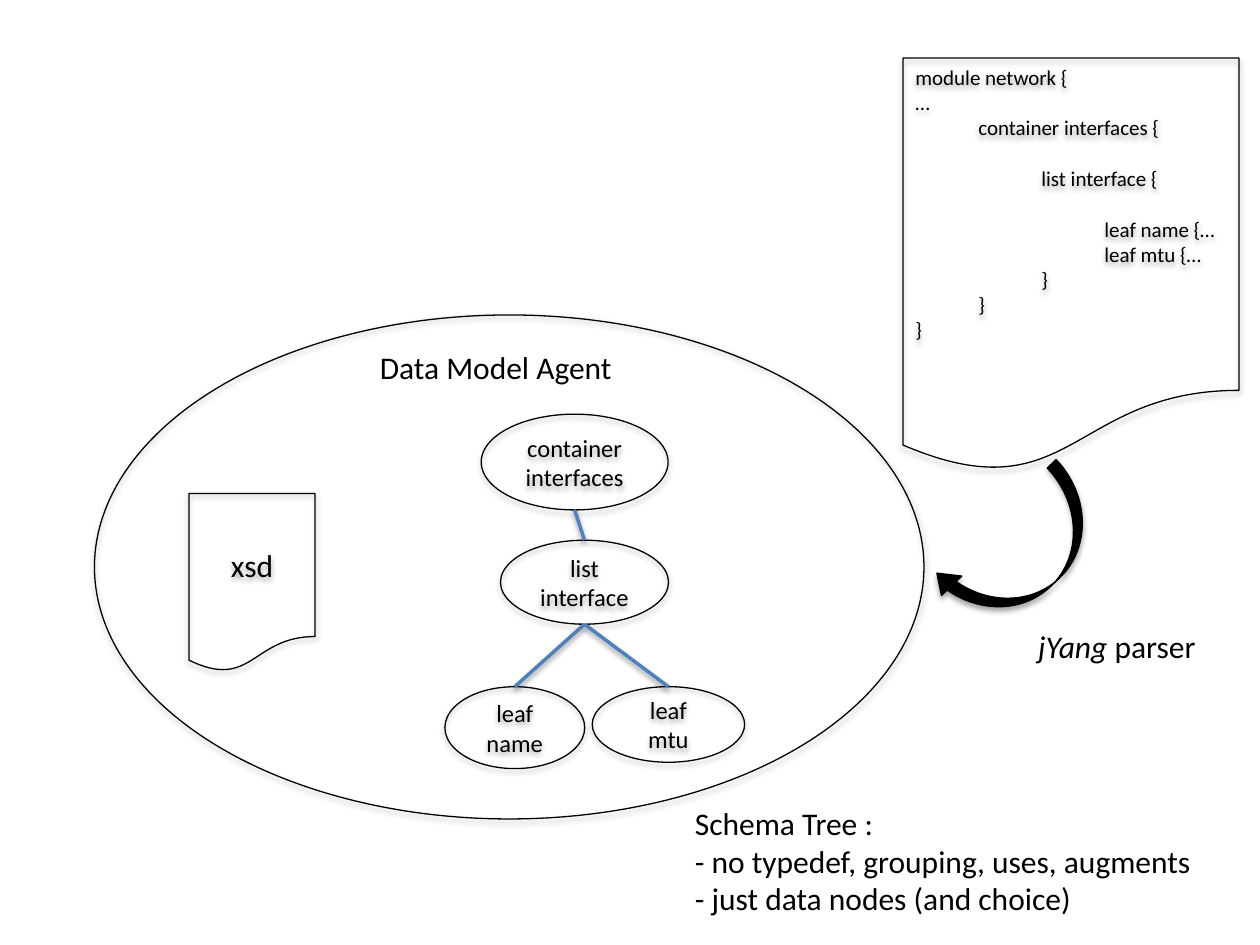
from lxml.etree import SubElement
from pptx import Presentation
from pptx.dml.color import RGBColor
from pptx.enum.shapes import MSO_CONNECTOR, MSO_SHAPE
from pptx.enum.text import MSO_ANCHOR, MSO_AUTO_SIZE, PP_ALIGN
from pptx.oxml.ns import qn
from pptx.util import Pt

FONT = "Calibri"
BLACK = "000000"
BLUE = "4F81BD"
CODE_SIZE = 12
CODE_LINE = 14.6
INDENT = 36
CODE = [
    (0, "module network {", False),
    (0, "…", False),
    (1, "container interfaces {", False),
    (2, "list interface {", True),
    (3, "leaf name {…", True),
    (3, "leaf mtu {…", False),
    (2, "}", False),
    (1, "}", False),
    (0, "}", False),
]
NODES = {
    "container": ("container interfaces", (221, 56.7, 106.8, 54.7)),
    "list": ("list\ninterface", (232, 128.7, 96, 48)),
    "name": ("leaf\nname", (200.2, 212.4, 79.9, 46.8)),
    "mtu": ("leaf\nmtu", (284.4, 212.4, 87.1, 43.2)),
}
EDGES = [("container", "list"), ("list", "name"), ("list", "mtu")]


def color(value):
    return RGBColor.from_string(value)


def add_shadow(shape, opacity):
    effects = SubElement(shape._element.spPr, qn("a:effectLst"))
    shadow = SubElement(effects, qn("a:outerShdw"), blurRad=str(Pt(3.15)),
                        dist=str(Pt(1.8)), dir="5400000", rotWithShape="0")
    shade = SubElement(shadow, qn("a:srgbClr"), val=BLACK)
    SubElement(shade, qn("a:alpha"), val=str(opacity * 1000))


def style_paragraph(paragraph, size, alignment=PP_ALIGN.LEFT):
    paragraph.alignment = alignment
    paragraph.font.name = FONT
    paragraph.font.size = Pt(size)
    paragraph.font.color.rgb = color(BLACK)


def add_outline(slide, kind, box, text="", size=18):
    shape = slide.shapes.add_shape(kind, *map(Pt, box))
    shape.fill.background()
    shape.line.color.rgb = color(BLACK)
    shape.line.width = Pt(0.75)
    add_shadow(shape, 35)
    if text:
        frame = shape.text_frame
        frame.text = text
        frame.vertical_anchor = MSO_ANCHOR.MIDDLE
        for paragraph in frame.paragraphs:
            style_paragraph(paragraph, size, PP_ALIGN.CENTER)
    return shape


def add_label(slide, box, text):
    label = slide.shapes.add_textbox(*map(Pt, box))
    frame = label.text_frame
    frame.word_wrap = False
    frame.auto_size = MSO_AUTO_SIZE.SHAPE_TO_FIT_TEXT
    frame.text = text
    for paragraph in frame.paragraphs:
        style_paragraph(paragraph, 18)
    return label


def add_edge(slide, parent, child):
    line = slide.shapes.add_connector(
        MSO_CONNECTOR.STRAIGHT,
        parent.left + parent.width // 2, parent.top + parent.height,
        child.left + child.width // 2, child.top)
    line.line.color.rgb = color(BLUE)
    line.line.width = Pt(2)
    add_shadow(line, 38)


def add_tree(slide, left, top):
    nodes = {}
    for key, (text, (x, y, width, height)) in NODES.items():
        nodes[key] = add_outline(slide, MSO_SHAPE.OVAL,
                                 (left + x, top + y, width, height), text, 14)
    for parent, child in EDGES:
        add_edge(slide, nodes[parent], nodes[child])


def add_agent(slide, box):
    left, top = box[:2]
    add_outline(slide, MSO_SHAPE.OVAL, box)
    add_label(slide, (left + 156, top + 15.2, 149, 29), "Data Model Agent")
    add_outline(slide, MSO_SHAPE.FLOWCHART_DOCUMENT,
                (left + 54, top + 102, 72, 102), "xsd")
    add_tree(slide, left, top)


def add_module(slide, box):
    document = add_outline(slide, MSO_SHAPE.FLOWCHART_DOCUMENT, box)
    frame = document.text_frame
    frame.vertical_anchor = MSO_ANCHOR.TOP
    frame.text = "\n".join(text for _, text, _ in CODE)
    for paragraph, (level, _, gap) in zip(frame.paragraphs, CODE):
        style_paragraph(paragraph, CODE_SIZE)
        paragraph._p.get_or_add_pPr().set("marL", str(Pt(level * INDENT)))
        if gap:
            paragraph.space_before = Pt(CODE_LINE)


def add_parser(slide, box):
    left, top = box[:2]
    arrow = add_outline(slide, MSO_SHAPE.CURVED_LEFT_ARROW, box)
    arrow.rotation = 46.4
    arrow.fill.solid()
    arrow.fill.fore_color.rgb = color(BLACK)
    for index, value in enumerate((0.14, 0.32, 0.22)):
        arrow.adjustments[index] = value
    label = add_label(slide, (left + 27.4, top + 90, 106.6, 29), "jYang ")
    paragraph = label.text_frame.paragraphs[0]
    paragraph.runs[0].font.italic = True
    paragraph.add_run().text = "parser"


def main():
    presentation = Presentation()
    presentation.slide_width = Pt(720)
    presentation.slide_height = Pt(540)
    slide = presentation.slides.add_slide(presentation.slide_layouts[6])
    add_agent(slide, (54, 180, 474, 288))
    add_module(slide, (516, 33.2, 192, 236.8))
    add_parser(slide, (558.7, 265, 50.4, 102.2))
    add_label(slide, (390, 455.8, 301, 72.7),
              "Schema Tree :\n- no typedef, grouping, uses, augments\n"
              "- just data nodes (and choice)")
    presentation.save("out.pptx")


if __name__ == "__main__":
    main()
